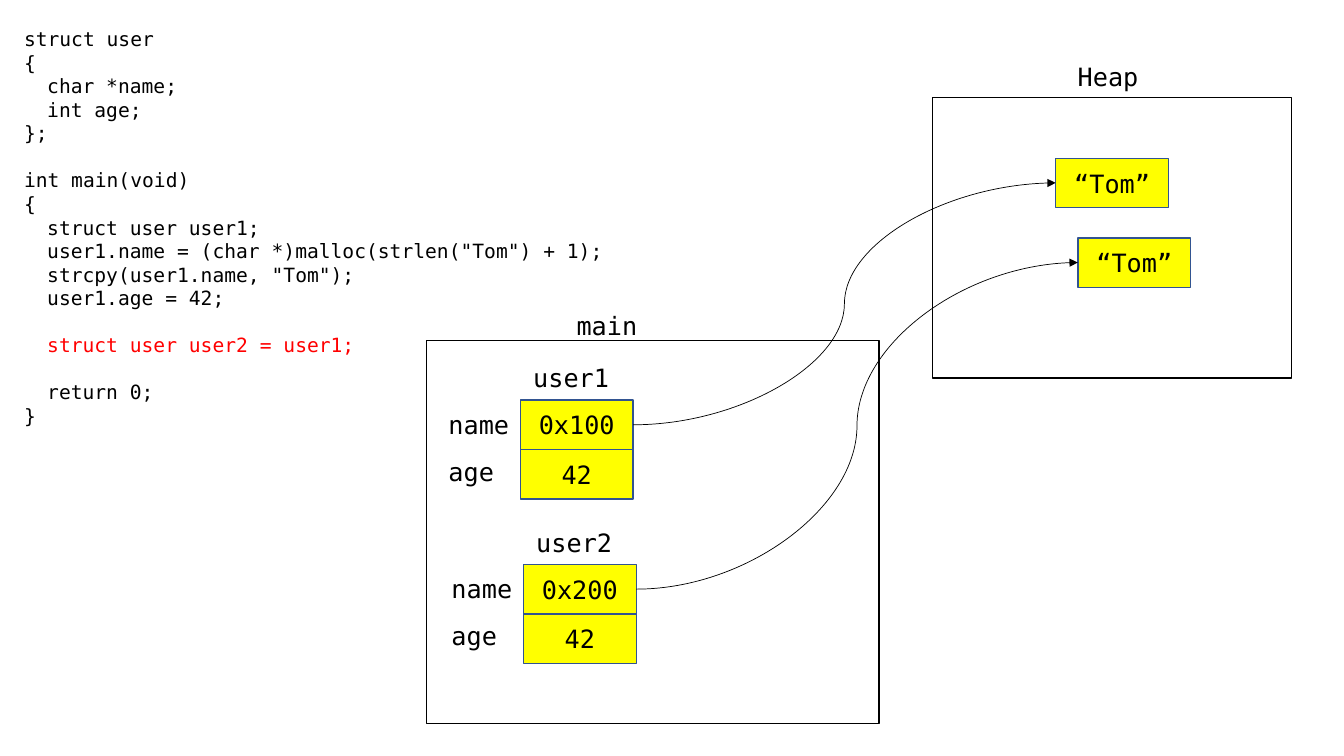
import pptx
import pptx.util
import pptx.dml.color
import pptx.enum.shapes
import pptx.enum.text
import pptx.oxml
import pptx.oxml.ns

Inches = pptx.util.Inches
Pt = pptx.util.Pt

CODE = """struct user
{
  char *name;
  int age;
};

int main(void)
{
  struct user user1;
  user1.name = (char *)malloc(strlen("Tom") + 1);
  strcpy(user1.name, "Tom");
  user1.age = 42;

  struct user user2 = user1;

  return 0;
}"""


class Sketch:
    """Draws memory diagrams on one slide in a single style."""

    font = "DejaVu Sans Mono"
    hues = {"ink": "000000", "paper": "FFFFFF", "cell": "FFFF00",
            "edge": "325491", "mark": "FF0000"}
    wide, high = 1.12, 0.49

    def __init__(self, slide):
        self.shapes = slide.shapes

    def hue(self, name):
        return pptx.dml.color.RGBColor.from_string(self.hues[name])

    def style(self, para, size=18, hue="ink"):
        for run in para.runs:
            run.font.name = self.font
            run.font.size = Pt(size)
            run.font.color.rgb = self.hue(hue)

    def box(self, left, top, wide, high, fill="paper", edge="ink"):
        shape = self.shapes.add_shape(
            pptx.enum.shapes.MSO_SHAPE.RECTANGLE,
            Inches(left), Inches(top), Inches(wide), Inches(high))
        shape.shadow.inherit = False
        shape.fill.solid()
        shape.fill.fore_color.rgb = self.hue(fill)
        shape.line.color.rgb = self.hue(edge)
        shape.line.width = Pt(1)
        return shape

    def cell(self, left, top, text):
        frame = self.box(left, top, self.wide, self.high, "cell", "edge").text_frame
        frame.text = text
        frame.vertical_anchor = pptx.enum.text.MSO_ANCHOR.MIDDLE
        para = frame.paragraphs[0]
        para.alignment = pptx.enum.text.PP_ALIGN.CENTER
        self.style(para)

    def label(self, left, top, wide, text, high=0.4):
        box = self.shapes.add_textbox(
            Inches(left), Inches(top), Inches(wide), Inches(high))
        frame = box.text_frame
        frame.word_wrap = True
        frame.auto_size = pptx.enum.text.MSO_AUTO_SIZE.SHAPE_TO_FIT_TEXT
        frame.text = text
        for para in frame.paragraphs:
            self.style(para)
        return frame

    def code(self, left, top, wide, high, text, marked):
        blocks = [block.split("\n") for block in text.split("\n\n")]
        lines = [line for block in blocks for line in block]
        heads = [block[0] for block in blocks[1:]]
        frame = self.label(left, top, wide, "\n".join(map(str.strip, lines)), high)
        for para, line in zip(frame.paragraphs, lines):
            self.style(para, 14, "mark" if line.strip() == marked else "ink")
            if line in heads:
                para.space_before = Pt(16.8)
            if line.startswith(" "):
                props = para._p.get_or_add_pPr()
                props.set("marL", str(Inches(0.23)))
                props.set("indent", "0")

    def record(self, left, top, title, name, age):
        self.label(left + 0.03, top - 0.42, self.wide, title)
        for row, (field, value) in enumerate((("name", name), ("age", age))):
            self.cell(left, top + row * self.high, value)
            self.label(left - 0.81, top + 0.04 + row * 0.47, 0.84, field)

    def arrow(self, start, end):
        line = self.shapes.add_connector(
            pptx.enum.shapes.MSO_CONNECTOR.CURVE, *map(Inches, start + end))
        line.line.color.rgb = self.hue("ink")
        line.line.width = Pt(0.5)
        space = pptx.oxml.ns.nsdecls("a")
        line.line._get_or_add_ln().append(
            pptx.oxml.parse_xml(f'<a:tailEnd {space} type="triangle"/>'))
        line._element.spPr.append(
            pptx.oxml.parse_xml(f"<a:effectLst {space}/>"))


def main():
    deck = pptx.Presentation()
    deck.slide_width, deck.slide_height = Inches(13.33), Inches(7.5)
    sketch = Sketch(deck.slides.add_slide(deck.slide_layouts[6]))

    sketch.box(9.25, 0.97, 3.56, 2.78)
    sketch.label(10.59, 0.56, 0.88, "Heap")
    sketch.code(0.14, 0.22, 6.67, 4.11, CODE, "struct user user2 = user1;")
    sketch.box(4.23, 3.38, 4.49, 3.8)
    sketch.label(5.62, 3.03, 0.88, "main")

    users = (("user1", "0x100", (5.16, 3.97), (10.47, 1.57)),
             ("user2", "0x200", (5.19, 5.6), (10.69, 2.36)))
    mid = sketch.high / 2
    for title, name, (left, top), (x, y) in users:
        sketch.record(left, top, title, name, "42")
        sketch.cell(x, y, "“Tom”")
        sketch.arrow((left + sketch.wide, top + mid), (x, y + mid))

    deck.save("out.pptx")


if __name__ == "__main__":
    main()
